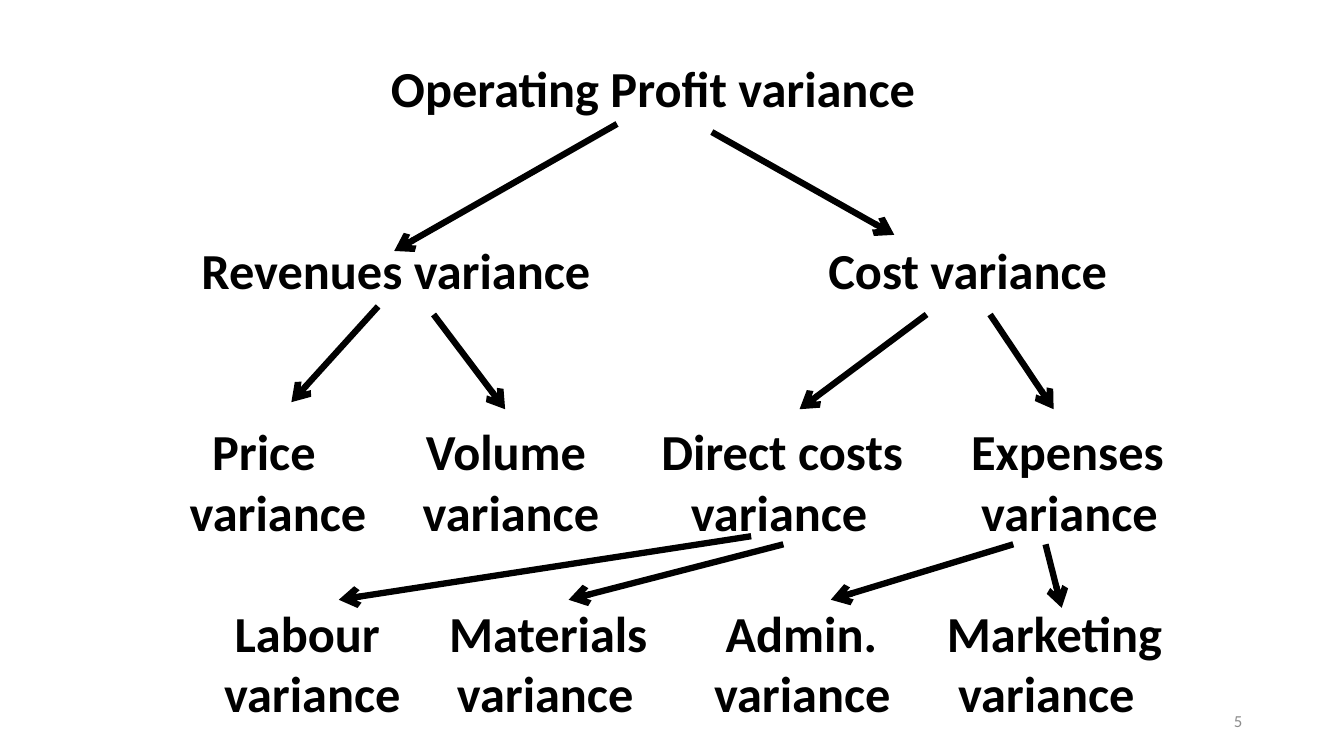
from pptx import Presentation
from pptx.dml.color import RGBColor
from pptx.enum.shapes import MSO_CONNECTOR
from pptx.enum.text import MSO_ANCHOR, PP_ALIGN
from pptx.oxml.ns import qn
from pptx.util import Inches, Pt
from lxml.etree import SubElement

# Rows of the tree: blank lines above, then (text, centre in inches)
ROWS = [
    (0, [("Operating Profit variance", 6.48)]),
    (2, [("Revenues variance", 3.93), ("Cost variance", 9.60)]),
    (2, [("Price", 2.62), ("Volume", 5.02), ("Direct costs", 7.76), ("Expenses", 10.59)]),
    (0, [("variance", 2.76), ("variance", 5.07), ("variance", 7.73), ("variance", 10.61)]),
    (1, [("Labour", 3.05), ("Materials", 5.44), ("Admin.", 7.95), ("Marketing", 10.46)]),
    (0, [("variance", 3.10), ("variance", 5.41), ("variance", 7.96), ("variance", 10.38)]),
]

# Arrows from parent to child: start x, start y, end x, end y
ARROWS = [
    (6.12, 1.23, 3.91, 2.49), (7.06, 1.31, 8.87, 2.33),
    (3.75, 3.04, 2.89, 3.99), (4.30, 3.12, 5.01, 4.06),
    (9.19, 3.12, 7.93, 4.06), (9.82, 3.12, 10.45, 4.06),
    (7.45, 5.32, 3.36, 5.95), (7.77, 5.40, 5.64, 5.95),
    (10.05, 5.40, 8.24, 5.95), (10.37, 5.40, 10.53, 6.03),
]
PAGE_NUMBER = "5"

TREE_LEFT, TREE_TOP, TREE_WIDTH, TREE_HEIGHT = 1.78, 0.52, 10.08, 6.77
INSET = 0.1
LINE_PITCH = 43.2
BLACK, GREY = "000000", "8C8C8C"


def color(hex_value):
    return RGBColor.from_string(hex_value)


def add_run(paragraph, text, size, hex_value, bold=False):
    run = paragraph.add_run()
    run.text = text
    run.font.name = "Calibri"
    run.font.size = Pt(size)
    run.font.bold = bold
    run.font.color.rgb = color(hex_value)


def add_center_tabs(paragraph, centers):
    tabs = SubElement(paragraph._p.get_or_add_pPr(), qn("a:tabLst"))
    for center in centers:
        position = Inches(center - TREE_LEFT - INSET)
        SubElement(tabs, qn("a:tab"), pos=str(position), algn="ctr")


def add_arrow(slide, x1, y1, x2, y2):
    arrow = slide.shapes.add_connector(
        MSO_CONNECTOR.STRAIGHT, Inches(x1), Inches(y1), Inches(x2), Inches(y2))
    arrow.line.color.rgb = color(BLACK)
    arrow.line.width = Pt(4.5)
    SubElement(arrow.line._get_or_add_ln(), qn("a:tailEnd"), type="arrow")
    SubElement(arrow._element.spPr, qn("a:effectLst"))


def main():
    prs = Presentation()
    prs.slide_width, prs.slide_height = Inches(13.33), Inches(7.5)
    slide = prs.slides.add_slide(prs.slide_layouts[6])

    # Page number
    page = slide.shapes.add_textbox(
        Inches(9.42), Inches(6.95), Inches(3), Inches(0.4)).text_frame
    page.word_wrap = True
    page.vertical_anchor = MSO_ANCHOR.MIDDLE
    page.paragraphs[0].alignment = PP_ALIGN.RIGHT
    add_run(page.paragraphs[0], PAGE_NUMBER, 12, GREY)

    # Variance tree, each label centred on its tab stop
    tree = slide.shapes.add_textbox(
        Inches(TREE_LEFT), Inches(TREE_TOP),
        Inches(TREE_WIDTH), Inches(TREE_HEIGHT)).text_frame
    tree.word_wrap = True
    for index, (blank_lines, labels) in enumerate(ROWS):
        row = tree.add_paragraph() if index else tree.paragraphs[0]
        add_center_tabs(row, [center for _, center in labels])
        row.line_spacing = Pt(LINE_PITCH)
        if blank_lines:
            row.space_before = Pt(blank_lines * LINE_PITCH)
        for text, _ in labels:
            add_run(row, "\t" + text, 36, BLACK, bold=True)

    # Arrows
    for ends in ARROWS:
        add_arrow(slide, *ends)

    prs.save("out.pptx")


if __name__ == "__main__":
    main()
